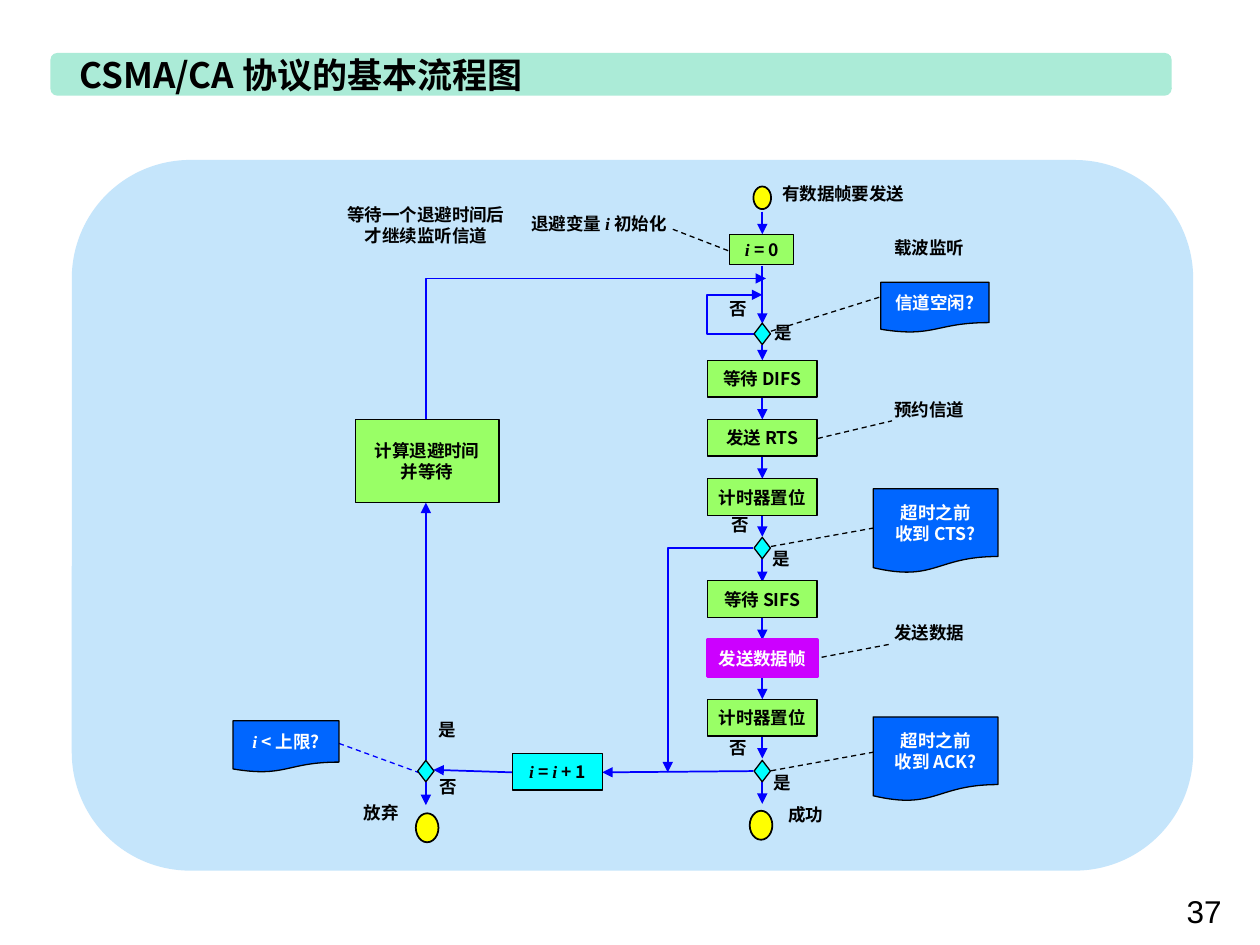
import pptx
import pptx.util
from pptx.dml.color import RGBColor
from pptx.enum.dml import MSO_LINE
from pptx.enum.shapes import MSO_CONNECTOR, MSO_SHAPE
from pptx.enum.text import MSO_ANCHOR, PP_ALIGN
from pptx.oxml.ns import qn

COLORS = {
    "panel": "C5E5FB", "banner": "ABEBD7", "step": "99FF66", "test": "00FFFF",
    "note": "0066FF", "data": "CC00FF", "end": "FFFF00", "flow": "0000FF",
    "ink": "000000", "paper": "FFFFFF",
}
SANS, SERIF = "Noto Sans CJK SC", "Times New Roman"
FLOW_X, BACK_X = 6.05, 3.38      # centres of the two flow columns
PITCH, STEP_W, STEP_H = 0.47, 0.87, 0.29
TEST_W, TEST_H = 0.13, 0.17
CHECKS = (2.65, 4.35, 6.12)      # centres of the tests in the main column


def inches(*values):
    return [pptx.util.Inches(v) for v in values]


def color(name):
    return RGBColor.from_string(COLORS[name])


def write(tf, text, size=10, ink="ink", bold=True, font=SANS,
          align=PP_ALIGN.LEFT, anchor=MSO_ANCHOR.TOP, wrap=True, spacing=12):
    """Fill a frame; the parts between underscores are serif italics."""
    tf.word_wrap = wrap
    tf.vertical_anchor = anchor
    for n, line in enumerate(text.split("\n")):
        p = tf.add_paragraph() if n else tf.paragraphs[0]
        p.alignment = align
        if spacing:
            p.line_spacing = pptx.util.Pt(spacing)
        for k, part in enumerate(line.split("_")):
            if not part:
                continue
            r = p.add_run()
            r.text = part
            r.font.size = pptx.util.Pt(size)
            r.font.bold = bold
            r.font.italic = k % 2 == 1
            r.font.name = SERIF if k % 2 else font
            r.font.color.rgb = color(ink)
            ea = r._r.get_or_add_rPr().makeelement(qn("a:ea"), {"typeface": font})
            r.font._element.find(qn("a:latin")).addnext(ea)


def add_label(s, text, x, y, w, h=0.42, **fmt):
    write(s.shapes.add_textbox(*inches(x, y, w, h)).text_frame, text, **fmt)


def add_box(s, kind, x, y, w, h, fill, text="", line="ink", width=0.75, ink="ink"):
    sp = s.shapes.add_shape(kind, *inches(x, y, w, h))
    sp.shadow.inherit = False
    sp.fill.solid()
    sp.fill.fore_color.rgb = color(fill)
    if line:
        sp.line.color.rgb = color(line)
        sp.line.width = pptx.util.Pt(width)
    else:
        sp.line.fill.background()
    if text:
        write(sp.text_frame, text, ink=ink, align=PP_ALIGN.CENTER,
              anchor=MSO_ANCHOR.MIDDLE, wrap=False)
    return sp


def add_step(s, text, y, fill="step", **fmt):
    add_box(s, MSO_SHAPE.FLOWCHART_PROCESS, FLOW_X - STEP_W / 2, y,
            STEP_W, STEP_H, fill, text, **fmt)


def add_test(s, x, y):
    add_box(s, MSO_SHAPE.FLOWCHART_DECISION, x - TEST_W / 2, y - TEST_H / 2,
            TEST_W, TEST_H, "test")


def add_end(s, x, y, w=0.18, h=0.23):
    add_box(s, MSO_SHAPE.OVAL, x - w / 2, y - h / 2, w, h, "end", width=1)


def add_line(s, x1, y1, x2, y2, ink="flow", width=1, dash=False, arrow="tailEnd",
             bend=None, adjust=()):
    kind = MSO_CONNECTOR.ELBOW if bend else MSO_CONNECTOR.STRAIGHT
    c = s.shapes.add_connector(kind, *inches(x1, y1, x2, y2))
    c.line.color.rgb = color(ink)
    c.line.width = pptx.util.Pt(width)
    if dash:
        c.line.dash_style = MSO_LINE.DASH
    spPr = c._element.spPr
    if arrow:
        ln = spPr.find(qn("a:ln"))
        ln.append(ln.makeelement(qn("a:" + arrow), {"type": "triangle"}))
    spPr.append(spPr.makeelement(qn("a:effectLst"), {}))
    if bend:
        geom = spPr.find(qn("a:prstGeom"))
        geom.set("prst", bend)
        guides = geom.get_or_add_avLst()
        for n, share in enumerate(adjust, 1):
            guides.append(guides.makeelement(qn("a:gd"), {
                "name": f"adj{n}", "fmla": f"val {round(share * 100000)}"}))


def add_frame(s):
    add_box(s, MSO_SHAPE.ROUNDED_RECTANGLE, 0.57, 1.27, 8.9, 5.64, "panel", line=None)
    add_box(s, MSO_SHAPE.ROUNDED_RECTANGLE, 0.4, 0.42, 8.9, 0.34, "banner", line=None)
    title = s.shapes.title
    title.left, title.top, title.width, title.height = inches(0.53, 0.37, 3.92, 0.44)
    write(title.text_frame, "CSMA/CA 协议的基本流程图", size=20,
          anchor=MSO_ANCHOR.MIDDLE, wrap=False, spacing=None)
    s.shapes._spTree.append(title._element)  # title lies over its banner
    add_label(s, "37", 9.32, 7.03, 0.64, 0.4, size=18, bold=False,
              font="Arial", spacing=None)


def add_links(s):
    # Dashed leaders from the steps to their notes
    for ends in ((6.05, 2.65, 7.04, 2.34), (6.05, 4.35, 7.05, 4.17),
                 (6.05, 6.13, 7.04, 5.95), (6.49, 3.48, 7.08, 3.34),
                 (6.45, 5.23, 7.08, 5.11), (5.34, 1.82, 5.78, 1.99)):
        add_line(s, *ends, ink="ink", width=0.75, dash=True, arrow=None)
    add_line(s, 2.69, 5.9, 3.32, 6.13, width=0.75, dash=True, arrow=None)
    # Downward arrows of the main column
    for top, bottom in ((1.68, 1.86), (2.11, 2.57), (2.74, 2.86), (3.16, 3.33),
                        (3.62, 3.8), (4.08, 4.26), (4.44, 4.62), (4.9, 5.08),
                        (5.37, 5.55), (5.84, 6.02), (6.2, 6.38)):
        add_line(s, FLOW_X, top, FLOW_X, bottom)
    # Retry branch
    add_line(s, 5.98, 6.12, 4.78, 6.13)
    add_line(s, 4.07, 6.13, 3.44, 6.11)
    add_line(s, BACK_X, 6.03, BACK_X, 3.99)
    add_line(s, BACK_X, 6.21, BACK_X, 6.39)
    # Elbows: busy channel, no CTS, back to the start
    add_line(s, 5.99, 2.65, 6.05, 2.34, bend="bentConnector4", adjust=(-6.33, 1))
    add_line(s, 5.98, 4.35, 5.3, 6.13, bend="bentConnector2")
    add_line(s, 6.08, 2.21, BACK_X, 3.33, bend="bentConnector2", arrow="headEnd")


def add_nodes(s):
    process, document = MSO_SHAPE.FLOWCHART_PROCESS, MSO_SHAPE.FLOWCHART_DOCUMENT
    # Main column: two runs of three steps
    for n, text in enumerate(("等待 DIFS", "发送 RTS", "计时器置位")):
        add_step(s, text, 2.86 + n * PITCH)
    add_step(s, "等待 SIFS", 4.61)
    add_step(s, "发送数据帧", 4.61 + PITCH, "data", line="data", width=2, ink="paper")
    add_step(s, "计时器置位", 4.61 + 2 * PITCH)
    for y in CHECKS:
        add_test(s, FLOW_X, y)
    add_test(s, BACK_X, CHECKS[-1])
    add_end(s, FLOW_X, 1.57, 0.14, 0.18)
    add_end(s, 6.04, 6.55)
    add_end(s, 3.39, 6.57)
    # Back-off variable and waiting time
    add_box(s, process, 5.79, 1.86, 0.51, 0.24, "step", "_i _= 0")
    add_box(s, process, 4.07, 5.98, 0.71, 0.29, "test", "_i _= _i _+ 1")
    add_box(s, process, 2.82, 3.33, 1.14, 0.66, "step", "计算退避时间\n并等待")
    # Questions asked at the tests
    for text, *place in (("_i _< 上限?", 1.85, 5.72, 0.84, 0.41),
                         ("信道空闲?", 6.99, 2.24, 0.86, 0.4),
                         ("超时之前\n收到 CTS?", 6.93, 3.88, 0.99, 0.67),
                         ("超时之前\n收到 ACK?", 6.93, 5.69, 0.99, 0.67)):
        add_box(s, document, *place, "note", text, ink="paper")


def add_labels(s):
    answers = {"是": ((6.05, 2.51), (6.04, 6.08), (6.03, 4.3), (3.38, 5.66)),
               "否": ((5.69, 2.32), (5.71, 4.03), (5.69, 5.8), (3.39, 6.11))}
    for text, places in answers.items():
        for x, y in places:
            add_label(s, text, x, y, 0.24)
    for text, x, y, w in (("退避变量 _i _初始化", 4.12, 1.64, 1.46),
                          ("有数据帧要发送", 6.11, 1.4, 1.28),
                          ("成功", 6.16, 6.33, 0.57), ("放弃", 2.79, 6.32, 0.61),
                          ("载波监听", 7, 1.83, 0.84), ("预约信道", 7, 3.12, 0.84),
                          ("发送数据", 7, 4.89, 0.84)):
        add_label(s, text, x, y, w)
    add_label(s, "等待一个退避时间后\n才继续监听信道", 2.54, 1.57, 1.68, 0.68,
              align=PP_ALIGN.CENTER)


def main():
    prs = pptx.Presentation()
    prs.slide_width, prs.slide_height = inches(10, 7.5)
    s = prs.slides.add_slide(prs.slide_layouts[5])
    add_frame(s)
    add_links(s)
    add_nodes(s)
    add_labels(s)
    prs.save("out.pptx")


if __name__ == "__main__":
    main()
